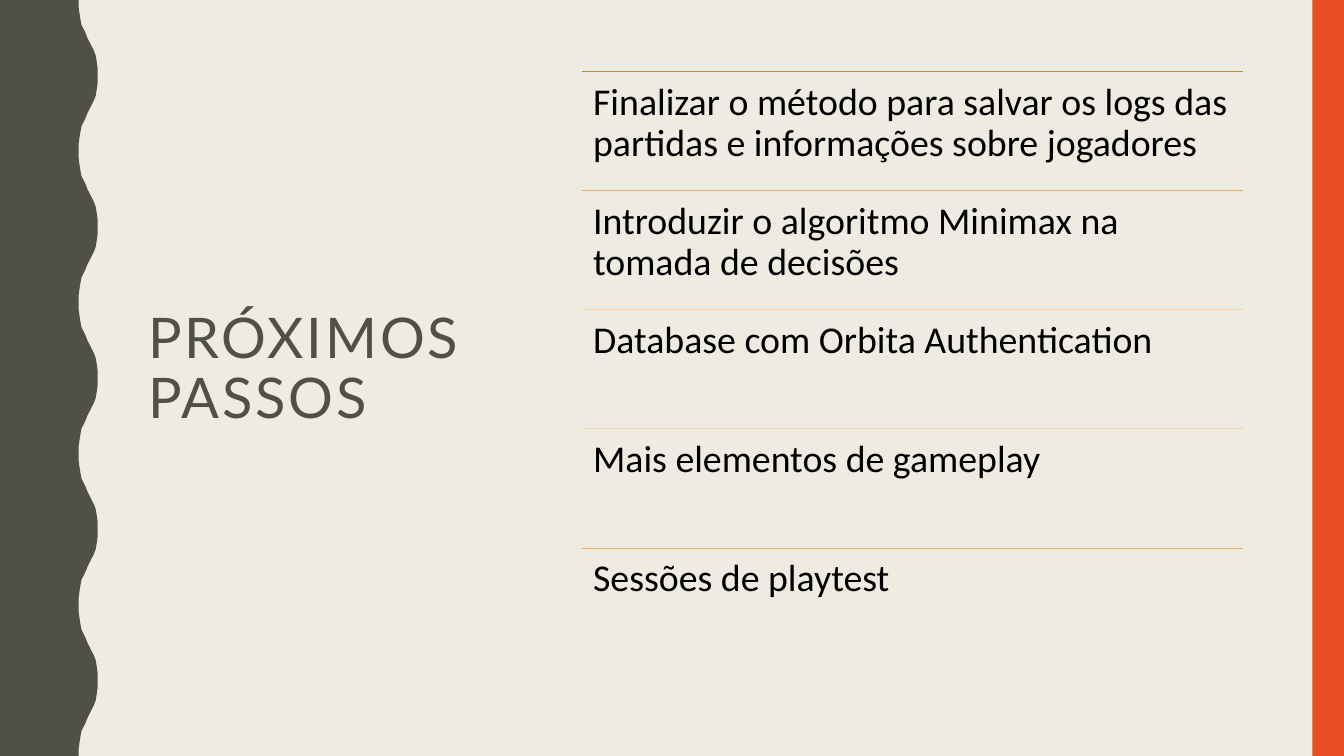
import pptx
import pptx.dml.color
import pptx.enum.shapes
import pptx.enum.text
import pptx.oxml.ns
import pptx.util
import lxml.etree

Pt = pptx.util.Pt

THEME = {
    "sand": "EEECE1",
    "olive": "505046",
    "orange": "E84C22",
    "black": "000000",
    "title_font": "Lato",
    "body_font": "Calibri",
    "title_size": 40,
    "body_size": 27,
}


def colour(code):
    return pptx.dml.color.RGBColor.from_string(code)


def paint(shape, code):
    shape.shadow.inherit = False
    shape.fill.solid()
    shape.fill.fore_color.rgb = colour(code)
    shape.line.fill.background()


deck = pptx.Presentation()
deck.slide_width, deck.slide_height = Pt(960), Pt(540)
page = deck.slides.add_slide(deck.slide_layouts[5])
page.background.fill.solid()
page.background.fill.fore_color.rgb = colour(THEME["sand"])

wave_length = 108
half_wave = [
    (56.2, 0), (56.2, 5), (56.9, 10), (57.6, 14.4), (58.3, 18),
    (59.8, 20.9), (61.2, 23.8), (62.6, 27.4), (64.1, 30.2), (65.5, 33.1),
    (67, 36), (68.4, 39.6), (69.1, 43.9), (69.8, 49), (69.8, 54),
]
full_wave = half_wave + [(x, wave_length - y) for x, y in half_wave[-2::-1]]
edge = [(x, y + wave_length * turn) for turn in range(5) for x, y in full_wave]
outline = page.shapes.build_freeform(0, 0, scale=1.0)
outline.add_line_segments([(Pt(x), Pt(y)) for x, y in edge + [(0, 540)]], close=True)
paint(outline.convert_to_shape(), THEME["olive"])

side_bar = page.shapes.add_shape(
    pptx.enum.shapes.MSO_SHAPE.RECTANGLE, Pt(937.5), Pt(0), Pt(22.5), Pt(540))
paint(side_bar, THEME["orange"])

title = page.shapes.title
title.left, title.top, title.width, title.height = Pt(98.6), Pt(51), Pt(266.4), Pt(427)
title.text_frame.text = "PRÓXIMOS PASSOS"
title.text_frame.word_wrap = True
title.text_frame.vertical_anchor = pptx.enum.text.MSO_ANCHOR.MIDDLE
para = title.text_frame.paragraphs[0]
para.alignment = pptx.enum.text.PP_ALIGN.LEFT
para.line_spacing = 0.9
para.font.name = THEME["title_font"]
para.font.size = Pt(THEME["title_size"])
para.font.color.rgb = colour(THEME["olive"])
para.runs[0].font._element.set("spc", "200")

steps = [
    ("Finalizar o método para salvar os logs das partidas e informações sobre jogadores", "BD8C35"),
    ("Introduzir o algoritmo Minimax na tomada de decisões", "E7B062"),
    ("Database com Orbita Authentication", "FAD3A5"),
    ("Mais elementos de gameplay", "FAD3A5"),
    ("Sessões de playtest", "E7B062"),
]
left, top, width, row_height = 415.6, 51, 472.2, 85.1

for index, (wording, line_colour) in enumerate(steps):
    row_top = top + index * row_height
    rule = page.shapes.add_connector(
        pptx.enum.shapes.MSO_CONNECTOR.STRAIGHT,
        Pt(left), Pt(row_top), Pt(left + width), Pt(row_top))
    rule.line.color.rgb = colour(line_colour)
    rule.line.width = Pt(0.5)
    lxml.etree.SubElement(rule._element.spPr, pptx.oxml.ns.qn("a:effectLst"))

    box = page.shapes.add_textbox(Pt(left), Pt(row_top), Pt(width), Pt(row_height))
    frame = box.text_frame
    frame.word_wrap = True
    frame.margin_left = frame.margin_right = Pt(8.1)
    frame.margin_top = frame.margin_bottom = Pt(8.1)
    frame.text = wording
    para = frame.paragraphs[0]
    para.line_spacing = 0.9
    para.font.name = THEME["body_font"]
    para.font.size = Pt(THEME["body_size"])
    para.font.color.rgb = colour(THEME["black"])

deck.save("out.pptx")
